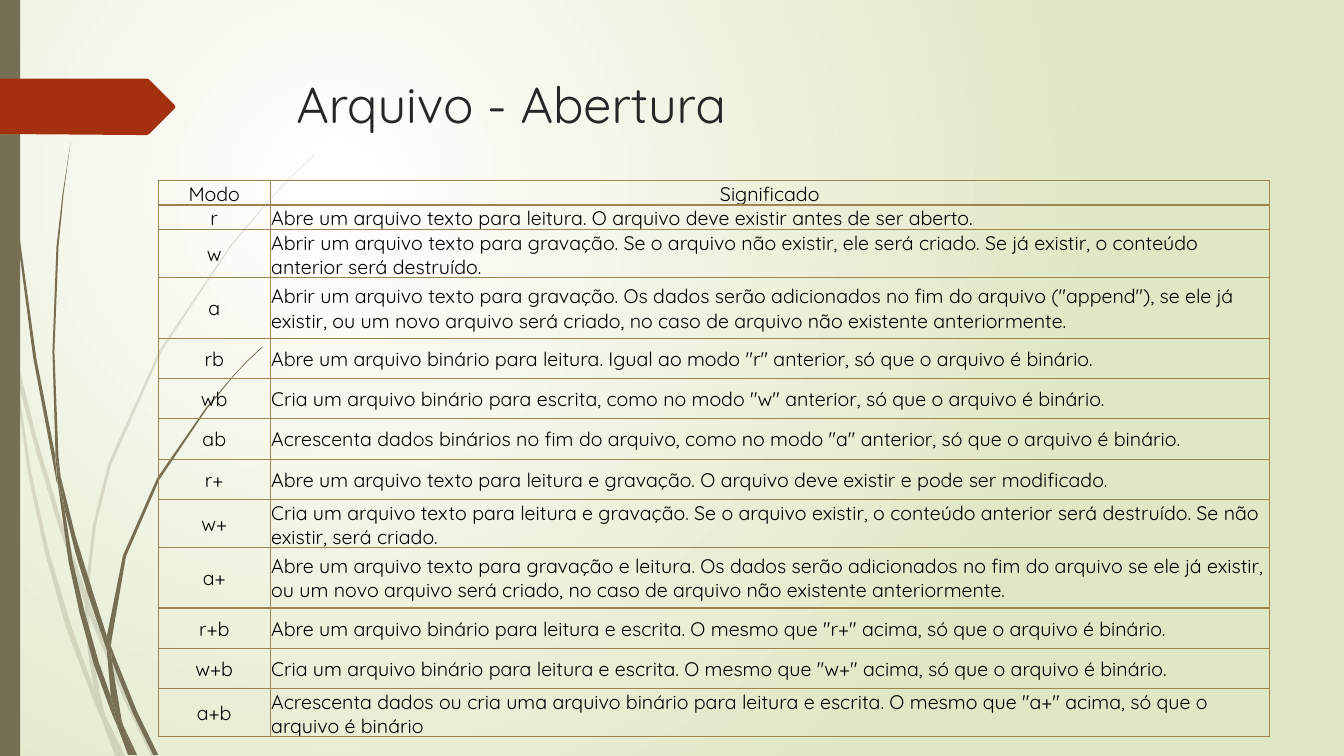
from dataclasses import dataclass

from lxml.etree import SubElement as add_child
from pptx import Presentation
from pptx.dml.color import RGBColor as Color
from pptx.enum.shapes import MSO_SHAPE as Preset
from pptx.enum.text import MSO_ANCHOR as Anchor, PP_ALIGN as Align
from pptx.oxml.ns import qn
from pptx.util import Pt


@dataclass(frozen=True)
class Theme:
    font: str = "Quicksand"
    title_size: int = 36
    table_size: int = 14
    border_width: int = 1
    olive: str = "766F54"
    red: str = "A53010"
    border: str = "9F8351"
    title: str = "262626"
    body: str = "000000"
    center: str = "FFFFFF"
    edge: str = "DFE8C4"


CELL = 9144
COLUMNS, ROWS = 1333, 750


class Sheet:
    def __init__(self, deck, theme):
        self.page = deck.slides.add_slide(deck.slide_layouts[6])
        self.theme = theme

    def grid(self, *cells):
        return [cell * CELL for cell in cells]

    def backdrop(self):
        fill = self.page.background.fill
        fill.gradient()
        for stop, color in zip(fill.gradient_stops, (self.theme.center, self.theme.edge)):
            stop.color.rgb = Color.from_string(color)
        linear = next(self.page.element.iter(qn("a:lin")))
        gradient = linear.getparent()
        gradient.remove(linear)
        circle = add_child(gradient, qn("a:path"), path="circle")
        add_child(circle, qn("a:fillToRect"), l="50000", t="50000", r="100000", b="100000")

    def paint(self, shape, color, opacity=100):
        shape.shadow.inherit = False
        shape.line.fill.background()
        shape.fill.solid()
        shape.fill.fore_color.rgb = Color.from_string(color)
        if opacity < 100:
            tint = next(shape.element.spPr.iter(qn("a:srgbClr")))
            add_child(tint, qn("a:alpha"), val=str(opacity * 1000))

    def rectangle(self, place, color):
        self.paint(self.page.shapes.add_shape(Preset.RECTANGLE, *self.grid(*place)), color)

    def outline(self, knots, color, opacity=100):
        points = [tuple(map(int, knot.split(","))) for knot in knots.split()]
        builder = self.page.shapes.build_freeform(*points[0], scale=CELL)
        builder.add_line_segments(points[1:], close=True)
        self.paint(builder.convert_to_shape(), color, opacity)

    def add_text(self, frame, text, size, color, align=Align.LEFT):
        para = frame.paragraphs[0]
        para.alignment = align
        span = para.add_run()
        span.text = text
        span.font.name = self.theme.font
        span.font.size = Pt(size)
        span.font.color.rgb = Color.from_string(color)

    def heading(self, place, text):
        frame = self.page.shapes.add_textbox(*self.grid(*place)).text_frame
        frame.word_wrap = True
        frame.vertical_anchor = Anchor.TOP
        self.add_text(frame, text, self.theme.title_size, self.theme.title)

    def frame_cell(self, cell):
        properties = cell._tc.get_or_add_tcPr()
        for side in ("lnL", "lnR", "lnT", "lnB"):
            line = add_child(properties, qn(f"a:{side}"), w=str(int(Pt(self.theme.border_width))))
            solid = add_child(line, qn("a:solidFill"))
            add_child(solid, qn("a:srgbClr"), val=self.theme.border)
        cell.fill.background()
        cell.margin_left = cell.margin_right = cell.margin_top = CELL
        cell.margin_bottom = 0

    def table(self, corner, widths, heights, records):
        place = self.grid(*corner, sum(widths), sum(heights))
        table = self.page.shapes.add_table(len(records), len(widths), *place).table
        table.first_row = table.horz_banding = False
        for column, width in zip(table.columns, self.grid(*widths)):
            column.width = width
        for row, height in zip(table.rows, self.grid(*heights)):
            row.height = height
        for i, record in enumerate(records):
            for j, text in enumerate(record):
                cell = table.cell(i, j)
                self.frame_cell(cell)
                cell.vertical_anchor = Anchor.MIDDLE if i else Anchor.BOTTOM
                align = Align.LEFT if i and j else Align.CENTER
                self.add_text(cell.text_frame, text, self.theme.table_size, self.theme.body, align)


PALE_BLADES = """
11,350 9,322 0,282 0,299 10,344 11,348
58,522 84,599 85,586 62,520 36,433 14,345 17,376 36,449
92,607 88,596 88,610 123,694 150,750 155,750 127,692
119,750 124,750 105,711
93,683 70,619 48,545 31,469 17,376 11,350 28,470 44,546 65,621 92,693 101,714 99,707
84,599 87,646 93,683 96,692 105,711 103,706 91,646 88,610 88,608
88,584 95,522 110,462 160,349 229,245 268,198 290,175 312,154 312,153 289,175 268,197 228,244 158,348 107,461 92,522 85,584 85,586 88,596
101,714 114,750 119,750
88,608 88,610 88,596 85,586 84,599
96,692 93,683 99,707 101,714 119,750 105,711
"""
DARK_BLADES = """
7,110 17,233 33,355 56,477 57,481 55,457 55,453 36,355 19,232 8,109 5,48 4,0 3,0 4,48
88,592 106,645 106,633 106,631 93,590 75,532 60,472 64,505 75,549
113,649 110,641 111,656 132,708 152,749 157,749 136,706
110,691 98,657 84,607 72,556 64,505 57,477 68,557 79,608 93,659 111,708 117,722 116,717
60,472 58,453 54,349 58,245 63,193 70,141 62,193 56,245 52,349 55,449
133,749 136,749 122,719
57,477 64,505 60,472 55,449 55,453
111,633 125,552 158,476 205,406 231,374 245,359 261,344 260,344 245,358 231,373 204,405 156,474 122,551 106,631 110,641
117,722 127,749 131,749
106,645 110,691 116,706 122,719 121,716 111,656 109,651
106,645 109,651 111,656 110,641 106,631 106,633
116,706 110,691 116,717 117,722 130,749 133,749 122,719
"""
RED_TAG = "173,108 148,133 146,134 136,134 0,133 0,78 136,78 146,78 148,79 173,104 174,106"

MODES = [
    ("Modo", "Significado"),
    ("r", "Abre um arquivo texto para leitura. O arquivo deve existir antes de ser aberto."),
    ("w", "Abrir um arquivo texto para gravação. Se o arquivo não existir, ele será criado. "
          "Se já existir, o conteúdo anterior será destruído."),
    ("a", "Abrir um arquivo texto para gravação. Os dados serão adicionados no fim do arquivo "
          '("append"), se ele já existir, ou um novo arquivo será criado, '
          "no caso de arquivo não existente anteriormente."),
    ("rb", 'Abre um arquivo binário para leitura. Igual ao modo "r" anterior, '
           "só que o arquivo é binário."),
    ("wb", 'Cria um arquivo binário para escrita, como no modo "w" anterior, '
           "só que o arquivo é binário."),
    ("ab", 'Acrescenta dados binários no fim do arquivo, como no modo "a" anterior, '
           "só que o arquivo é binário."),
    ("r+", "Abre um arquivo texto para leitura e gravação. "
           "O arquivo deve existir e pode ser modificado."),
    ("w+", "Cria um arquivo texto para leitura e gravação. Se o arquivo existir, "
           "o conteúdo anterior será destruído. Se não existir, será criado."),
    ("a+", "Abre um arquivo texto para gravação e leitura. Os dados serão adicionados "
           "no fim do arquivo se ele já existir, ou um novo arquivo será criado, "
           "no caso de arquivo não existente anteriormente."),
    ("r+b", 'Abre um arquivo binário para leitura e escrita. O mesmo que "r+" acima, '
            "só que o arquivo é binário."),
    ("w+b", 'Cria um arquivo binário para leitura e escrita. O mesmo que "w+" acima, '
            "só que o arquivo é binário."),
    ("a+b", "Acrescenta dados ou cria uma arquivo binário para leitura e escrita. "
            'O mesmo que "a+" acima, só que o arquivo é binário'),
]
SHORT_ROWS, TALL_ROWS = ("Modo", "r"), ("a", "a+")

deck = Presentation()
deck.slide_width, deck.slide_height = COLUMNS * CELL, ROWS * CELL
theme = Theme()
sheet = Sheet(deck, theme)
sheet.backdrop()
for blades, opacity in ((PALE_BLADES, 20), (DARK_BLADES, 100)):
    for blade in blades.strip().splitlines():
        sheet.outline(blade, theme.olive, opacity)
sheet.rectangle((0, 0, 20, ROWS), theme.olive)
sheet.outline(RED_TAG, theme.red)
sheet.heading((284, 68, 975, 140), "Arquivo - Abertura")
heights = [20 if mode in SHORT_ROWS else 60 if mode in TALL_ROWS else 40 for mode, _ in MODES]
sheet.table((157, 179), (111, 991), heights, MODES)
deck.save("out.pptx")
